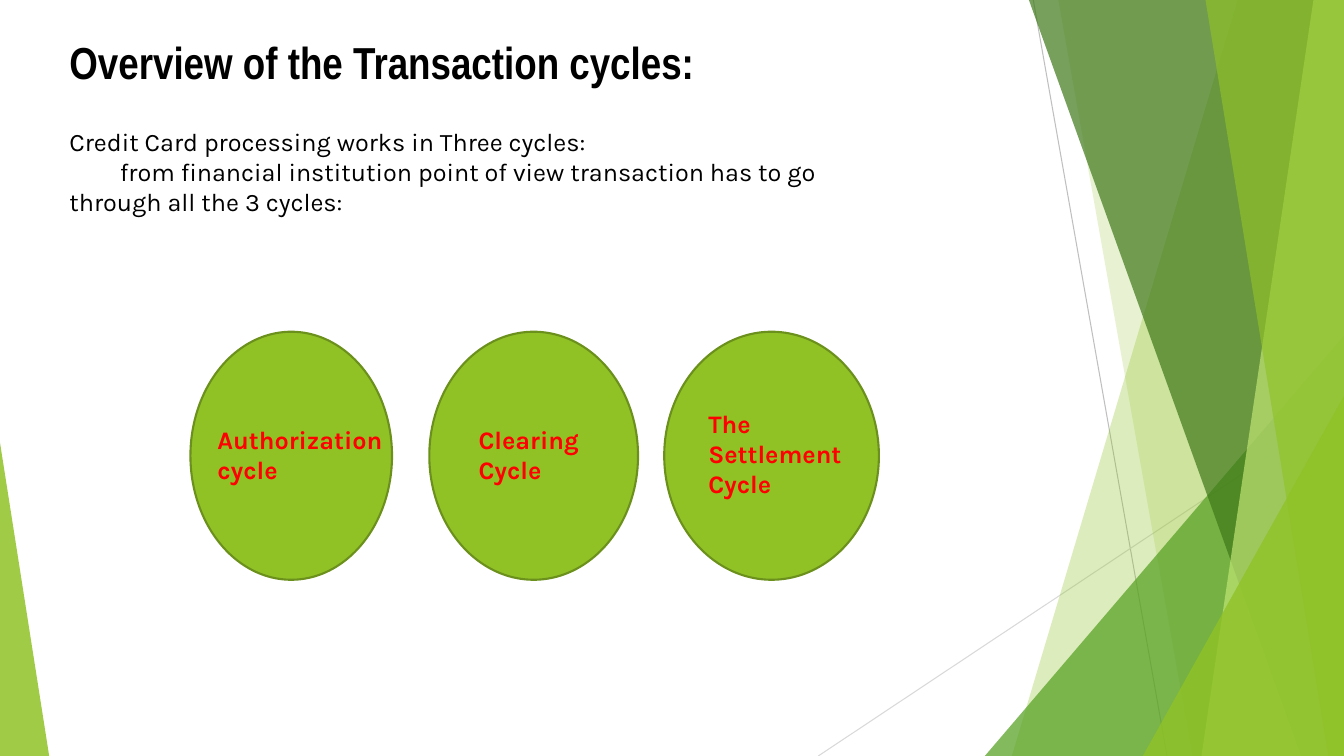
from pptx import Presentation
from pptx.dml.color import RGBColor
from pptx.enum.shapes import MSO_CONNECTOR, MSO_SHAPE
from pptx.oxml.ns import qn
from pptx.util import Cm, Pt
from lxml import etree

LINE = MSO_CONNECTOR.STRAIGHT
TRIANGLE = MSO_SHAPE.ISOSCELES_TRIANGLE
OVAL = MSO_SHAPE.OVAL
W, H = 33.87, 19.05
GREEN = "90C226"


def paint(fmt, color, alpha=100):
    fmt.solid()
    fmt.fore_color.rgb = RGBColor.from_string(color)
    if alpha < 100:
        clr = fmt._xPr.find(qn("a:solidFill"))[0]
        etree.SubElement(clr, qn("a:alpha")).set("val", str(alpha * 1000))


def add_text(left, top, width, height, lines, size, font, color, bold):
    tf = s.shapes.add_textbox(Cm(left), Cm(top), Cm(width), Cm(height)).text_frame
    tf.word_wrap = True
    for i, line in enumerate(lines):
        p = tf.add_paragraph() if i else tf.paragraphs[0]
        r = p.add_run()
        r.text = line
        r.font.size, r.font.name, r.font.bold = Pt(size), font, bold
        paint(r.font.fill, color)
    return tf


prs = Presentation()
prs.slide_width, prs.slide_height = Cm(W), Cm(H)
s = prs.slides.add_slide(prs.slide_layouts[6])

# Thin grey lines
for x1, y1, x2, y2, color in [(26.04, 0, 29.41, H, "BFBFBF"),
                              (W, 10.24, 20.62, H, "D9D9D9")]:
    ln = s.shapes.add_connector(LINE, Cm(x1), Cm(y1), Cm(x2), Cm(y2))
    paint(ln.line.fill, color)
    ln.line.width = Pt(0.75)
    etree.SubElement(ln._element.spPr, qn("a:effectLst"))

# Green facets, back to front: panels (top x, bottom x) reach the right edge,
# triangles (left, top, width, apex) stand on the bottom edge
facets = [
    ((31.19, 25.5), GREEN, 30),
    ((26.67, 30.05), GREEN, 20),
    ((24.82, 8.46, 9.05, 1), "54A021", 72),
    ((25.93, 32.79), "3F7819", 70),
    ((33.1, 30.28), "C0E474", 70),
    ((30.38, 33.48), GREEN, 65),
    ((28.8, 9.98, 5.07, 1), GREEN, 80),
    ((0, 11.15, 1.24, 0), GREEN, 85),
]
for geometry, color, alpha in facets:
    if len(geometry) == 2:
        top_x, bottom_x = geometry
        fb = s.shapes.build_freeform(Cm(top_x), 0)
        fb.add_line_segments([(Cm(W), 0), (Cm(W), Cm(H)), (Cm(bottom_x), Cm(H))])
        sp = fb.convert_to_shape()
    else:
        left, top, width, apex = geometry
        sp = s.shapes.add_shape(TRIANGLE, Cm(left), Cm(top), Cm(width), Cm(H - top))
        sp.adjustments[0] = apex
    sp.shadow.inherit = False
    paint(sp.fill, color, alpha)
    sp.line.fill.background()

# Title and introduction
add_text(1.5, 0.76, 19.63, 1.63, ["Overview of the Transaction cycles:"],
         32, "Arial Narrow", "000000", True)
intro = add_text(1.5, 3.05, 20.65, 2.57, [
    "Credit Card processing works in Three cycles:",
    "from financial institution point of view transaction has to go "
    "through all the 3 cycles:",
], 18, "Karla", "000000", False)
intro.paragraphs[1]._p.get_or_add_pPr().set("indent", str(Cm(1.27)))

# Cycle ovals
for left, width in [(4.8, 5.08), (10.82, 5.26), (16.74, 5.41)]:
    sp = s.shapes.add_shape(OVAL, Cm(left), Cm(8.36), Cm(width), Cm(6.25))
    sp.shadow.inherit = False
    paint(sp.fill, GREEN)
    paint(sp.line.fill, "6B901C")
    sp.line.width = Pt(1.5)

# Cycle labels
for left, top, width, height, lines in [
    (5.23, 10.57, 4.98, 1.8, ["Authorization cycle"]),
    (11.81, 10.57, 3.68, 1.8, ["Clearing", "Cycle"]),
    (17.6, 10.16, 4.67, 2.57, ["The Settlement Cycle"]),
]:
    add_text(left, top, width, height, lines, 18, "Karla", "FF0000", True)

prs.save("out.pptx")
